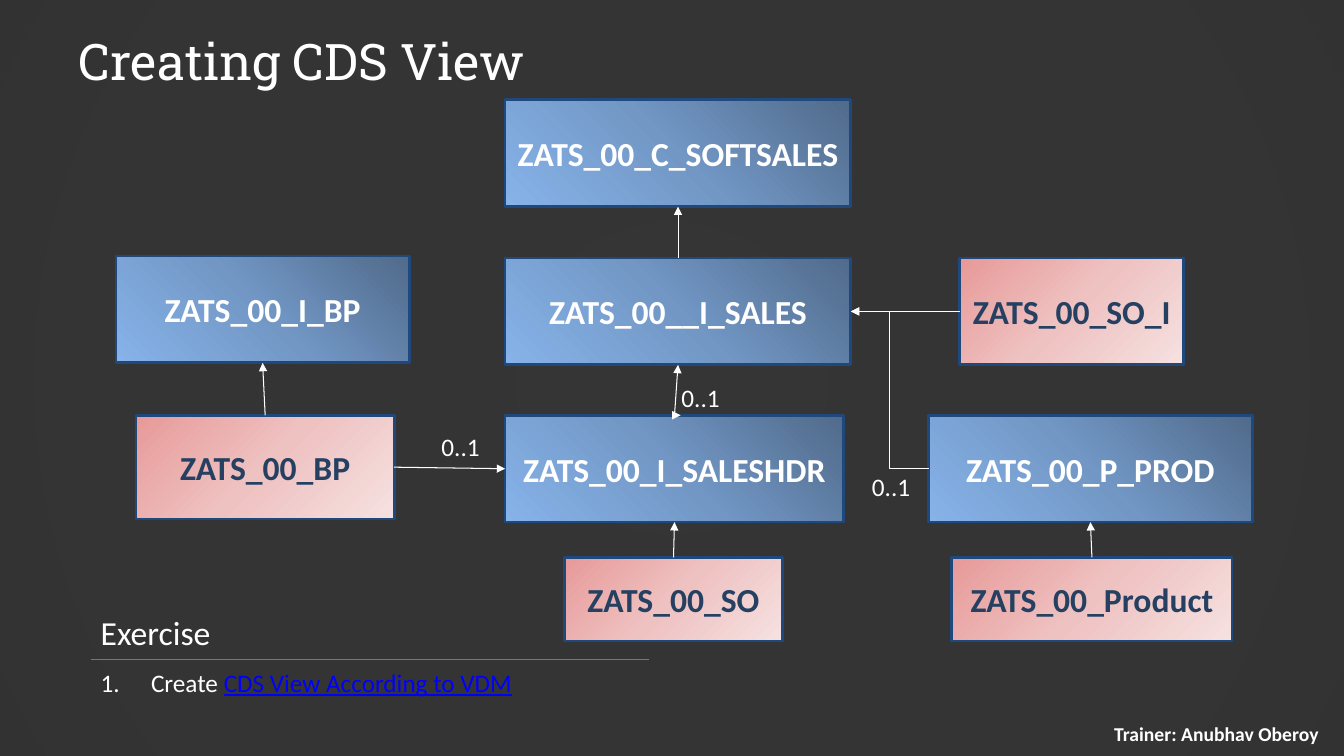
"""Build the slide that shows how the CDS views depend on each other."""
from lxml.etree import SubElement
from pptx import Presentation
from pptx.dml.color import RGBColor
from pptx.enum.shapes import MSO_CONNECTOR as Connector, MSO_SHAPE as Shape
from pptx.enum.text import MSO_ANCHOR as Anchor, MSO_AUTO_SIZE as AutoSize, PP_ALIGN as Align
from pptx.oxml import parse_xml
from pptx.oxml.ns import nsdecls, qn
from pptx.util import Inches, Pt

color = RGBColor.from_string
WHITE, NAVY, BORDER, RULE, LINK = "FFFFFF", "254061", "1F497D", "4B7EBC", "0000FF"
RADIAL = ('<a:path path="circle"><a:fillToRect l="50000" t="50000" '
          'r="50000" b="50000"/></a:path>')
VIEW = ([(0, "506A8A"), (50, "7297C5"), (100, "87B3E9")], '<a:lin ang="8100000" scaled="0"/>', WHITE)
TABLE = ([(0, "E79A99"), (50, "EEC2C1"), (100, "F6E1E1")], '<a:lin ang="2700000" scaled="0"/>', NAVY)
TOP, LEFT, BOTTOM, RIGHT = range(4)
ROWS = [0.99, 2.56, 4.12, 5.53]
MARGIN = 0.9


def paint_gradient(fill, parent, stops, direction):
    fill.solid()
    solid = parent.find(qn("a:solidFill"))
    marks = "".join(f'<a:gs pos="{share * 1000}"><a:srgbClr val="{value}"/></a:gs>'
                    for share, value in stops)
    gradient = f'<a:gradFill {nsdecls("a")} rotWithShape="1"><a:gsLst>{marks}</a:gsLst>{direction}</a:gradFill>'
    parent.replace(solid, parse_xml(gradient))


def write(shape, runs, size, align=Align.LEFT, anchor=Anchor.TOP, bold=False,
          font="Calibri", inset=(0.1, 0.05), wrap=True):
    frame = shape.text_frame
    frame.word_wrap, frame.auto_size, frame.vertical_anchor = wrap, AutoSize.NONE, anchor
    frame.margin_left = frame.margin_right = Inches(inset[0])
    frame.margin_top = frame.margin_bottom = Inches(inset[1])
    paragraph = frame.paragraphs[0]
    paragraph.alignment = align
    for text, value in runs:
        run = paragraph.add_run()
        run.text = text
        run.font.name, run.font.size, run.font.bold = font, Pt(size), bold
        run.font.color.rgb = color(value)
        run.font.underline = value == LINK
    return paragraph


presentation = Presentation()
presentation.slide_width, presentation.slide_height = Inches(13.33), Inches(7.5)
slide = presentation.slides.add_slide(presentation.slide_layouts[5])
shapes = slide.shapes

background = slide.background.fill
background.solid()
background_properties = slide.element.cSld.find(qn("p:bg")).find(qn("p:bgPr"))
paint_gradient(background, background_properties,
               [(0, WHITE), (81, "EEEEEE"), (100, "D9D9D9")], RADIAL)

veil = shapes.add_shape(Shape.RECTANGLE, 0, 0, Inches(13.36), Inches(7.54))
veil.shadow.inherit = False
veil.fill.solid()
veil.fill.fore_color.rgb = color("262626")
veil.line.fill.background()
veil_color = veil.fill._xPr.find(qn("a:solidFill"))[0]
SubElement(veil_color, qn("a:alpha"), val="93000")
shapes._spTree.remove(veil._element)
shapes._spTree.insert(2, veil._element)

title = shapes.title
title.left, title.top, title.width, title.height = map(Inches, (0.65, 0.21, 12, 0.78))
write(title, [("Creating CDS View", WHITE)], 36, anchor=Anchor.MIDDLE,
      font="Roboto Slab", inset=(0.13, 0.07))

boxes = {}
for name, style, left, top, width, height in [
    ("ZATS_00_C_SOFTSALES", VIEW, 5.01, ROWS[0], 3.43, 1.06),
    ("ZATS_00_I_BP", VIEW, 1.15, 2.54, 2.91, 1.06),
    ("ZATS_00__I_SALES", VIEW, 5.01, ROWS[1], 3.43, 1.06),
    ("ZATS_00_SO_I", TABLE, 9.52, ROWS[1], 2.22, 1.06),
    ("ZATS_00_BP", TABLE, 1.35, ROWS[2], 2.56, 1.03),
    ("ZATS_00_I_SALESHDR", VIEW, 5.01, ROWS[2], 3.36, 1.06),
    ("ZATS_00_P_PROD", VIEW, 9.21, ROWS[2], 3.21, 1.06),
    ("ZATS_00_SO", TABLE, 5.6, ROWS[3], 2.16, 0.83),
    ("ZATS_00_Product", TABLE, 9.44, ROWS[3], 2.78, 0.83),
]:
    stops, direction, text_color = style
    box = shapes.add_shape(Shape.RECTANGLE, *map(Inches, (left, top, width, height)))
    box.shadow.inherit = False
    paint_gradient(box.fill, box._element.spPr, stops, direction)
    box.line.color.rgb, box.line.width = color(BORDER), Pt(2)
    write(box, [(name, text_color)], 24, Align.CENTER, Anchor.MIDDLE, bold=True)
    boxes[name] = box

lines = []
for source, source_side, target, target_side, kind in [
    ("ZATS_00__I_SALES", TOP, "ZATS_00_C_SOFTSALES", BOTTOM, Connector.STRAIGHT),
    ("ZATS_00_SO_I", LEFT, "ZATS_00__I_SALES", RIGHT, Connector.STRAIGHT),
    ("ZATS_00_P_PROD", LEFT, "ZATS_00__I_SALES", RIGHT, Connector.ELBOW),
    ("ZATS_00_I_SALESHDR", TOP, "ZATS_00__I_SALES", BOTTOM, Connector.STRAIGHT),
    ("ZATS_00_BP", TOP, "ZATS_00_I_BP", BOTTOM, Connector.STRAIGHT),
    ("ZATS_00_BP", RIGHT, "ZATS_00_I_SALESHDR", LEFT, Connector.STRAIGHT),
    ("ZATS_00_SO", TOP, "ZATS_00_I_SALESHDR", BOTTOM, Connector.STRAIGHT),
    ("ZATS_00_Product", TOP, "ZATS_00_P_PROD", BOTTOM, Connector.STRAIGHT),
]:
    arrow = shapes.add_connector(kind, 0, 0, 0, 0)
    arrow.begin_connect(boxes[source], source_side)
    arrow.end_connect(boxes[target], target_side)
    lines.append((arrow, WHITE))

for left, right, height, value in [(6.7, 6.75, ROWS[2], WHITE), (MARGIN, 6.44, 6.54, RULE)]:
    line = shapes.add_connector(Connector.STRAIGHT, *map(Inches, (left, height, right, height)))
    lines.append((line, value))

for line, value in lines:
    line.line.color.rgb, line.line.width = color(value), Pt(0.75)
    if value == WHITE:
        SubElement(line.line._ln, qn("a:tailEnd"), type="triangle")
    SubElement(line._element.spPr, qn("a:effectLst"))

for left, top in [(4.28, 4.23), (8.55, 4.63), (6.66, 3.74)]:
    cardinality = shapes.add_textbox(*map(Inches, (left, top, 0.68, 0.4)))
    write(cardinality, [("0..1", WHITE)], 18)

heading = shapes.add_textbox(*map(Inches, (MARGIN, 6.02, 2.28, 0.5)))
write(heading, [("Exercise", WHITE)], 24)

exercise = shapes.add_textbox(*map(Inches, (MARGIN, 6.57, 4.42, 0.4)))
step = write(exercise, [("Create ", WHITE), ("CDS View According to VDM", LINK)], 18)
numbering = step._p.get_or_add_pPr()
numbering.set("marL", str(Inches(0.5)))
numbering.set("indent", str(-Inches(0.5)))
SubElement(numbering, qn("a:buFont"), typeface="+mj-lt")
SubElement(numbering, qn("a:buAutoNum"), type="arabicPeriod")

trainer = shapes.add_textbox(*map(Inches, (10.84, 7.08, 2.45, 0.39)))
write(trainer, [("Trainer: Anubhav Oberoy", WHITE)], 14, Align.CENTER, Anchor.MIDDLE,
      bold=True, inset=(0.13, 0.07), wrap=False)

presentation.save("out.pptx")
